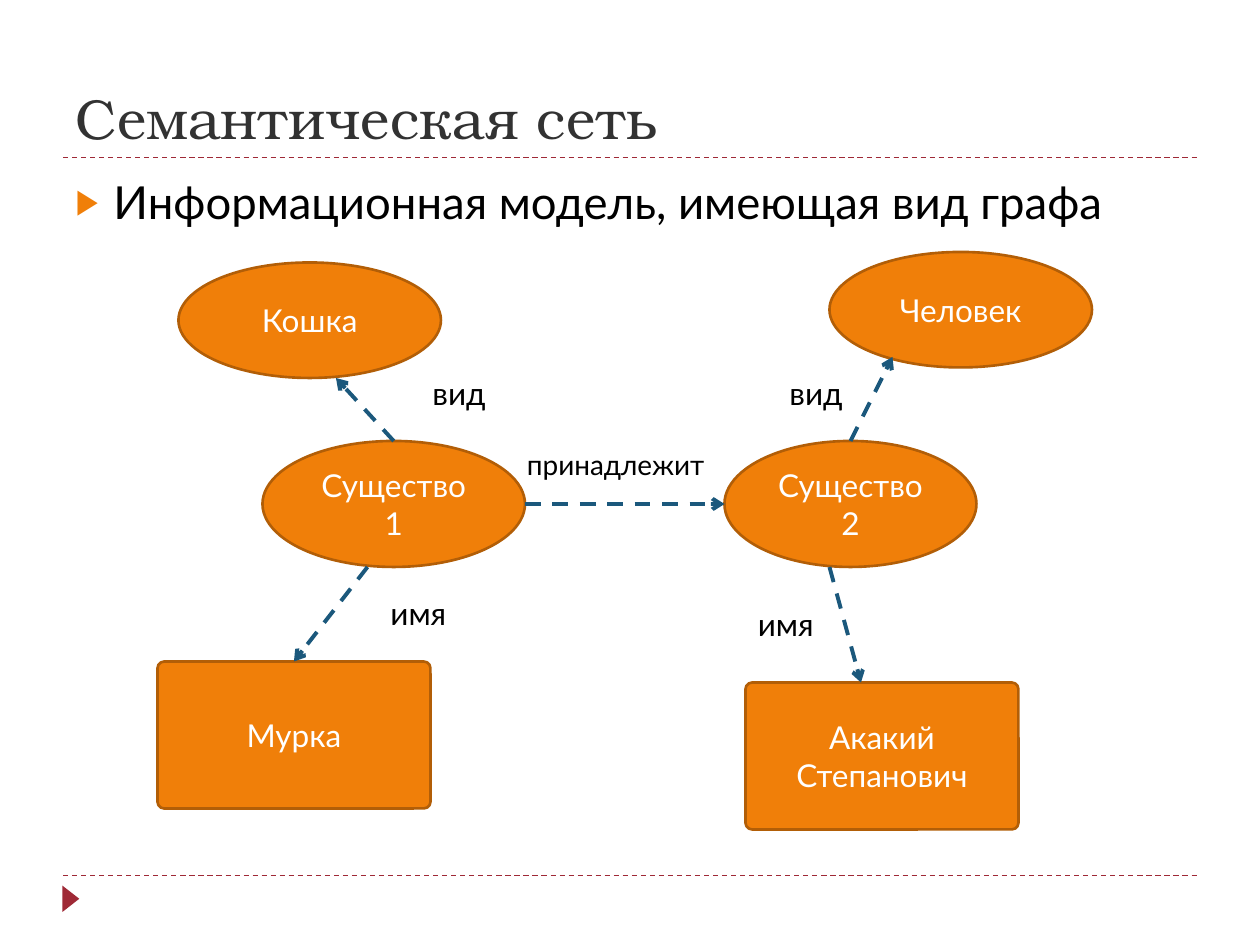
"""Build a slide that shows a semantic network as a graph of linked concepts."""
from dataclasses import dataclass

from lxml.etree import SubElement
from pptx import Presentation
from pptx.dml.color import RGBColor
from pptx.enum.dml import MSO_LINE
from pptx.enum.shapes import MSO_CONNECTOR, MSO_SHAPE
from pptx.enum.text import MSO_ANCHOR, MSO_AUTO_SIZE, PP_ALIGN
from pptx.oxml.ns import qn
from pptx.util import Emu, Pt

EMU_PER_PX = 7620


@dataclass(frozen=True)
class Theme:
    heading_font: str = "TeX Gyre Bonum"
    body_font: str = "Lato"
    heading: str = "323232"
    text: str = "000000"
    node_text: str = "FFFFFF"
    node_fill: str = "F07F09"
    node_line: str = "B25E07"
    link: str = "1B587C"
    rule: str = "9F2936"
    title_size: int = 32
    body_size: int = 26
    node_size: int = 18
    small_size: int = 16


THEME = Theme()
SLIDE_SIZE = (1200, 900)
TITLE = ("Семантическая сеть", (60, 20, 1080, 130))
BODY = ("Информационная модель, имеющая вид графа", (60, 160, 1080, 648))
RULE_TOPS = (834, 150)
RULE_SPAN = (60, 1140)
MARKER_BOX = (55, 848, 25, 16)

ELLIPSE, BOX = MSO_SHAPE.OVAL, MSO_SHAPE.ROUNDED_RECTANGLE
NODES = {
    "first": ("Существо 1", ELLIPSE, (250, 420, 250, 120)),
    "second": ("Существо 2", ELLIPSE, (690, 420, 240, 120)),
    "human": ("Человек", ELLIPSE, (790, 240, 250, 110)),
    "cat": ("Кошка", ELLIPSE, (170, 250, 250, 110)),
    "human_name": ("Акакий Степанович", BOX, (710, 650, 260, 140)),
    "cat_name": ("Мурка", BOX, (150, 630, 260, 140)),
}
LINKS = [
    ((375, 420), (320, 360), "first", None),
    ((350, 540), (280, 630), None, "cat_name"),
    ((790, 540), (820, 650), None, None),
    ((810, 420), (850, 340), "second", None),
    ((500, 480), (690, 480), None, None),
]
LABELS = [
    ("вид", (400, 350, 80, 48), THEME.node_size),
    ("вид", (740, 350, 80, 48), THEME.node_size),
    ("имя", (360, 560, 80, 48), THEME.node_size),
    ("принадлежит", (490, 420, 210, 44), THEME.small_size),
    ("имя", (710, 570, 80, 48), THEME.node_size),
]


def px(*values):
    return [Emu(value * EMU_PER_PX) for value in values]


def rgb(color):
    return RGBColor.from_string(color)


def write(shape, text, size, color, font=THEME.body_font, align=PP_ALIGN.LEFT, anchor=MSO_ANCHOR.TOP):
    frame = shape.text_frame
    frame.word_wrap = True
    frame.auto_size = MSO_AUTO_SIZE.NONE
    frame.vertical_anchor = anchor
    paragraph = frame.paragraphs[0]
    paragraph.alignment = align
    run = paragraph.add_run()
    run.text = text
    run.font.size = Pt(size)
    run.font.name = font
    run.font.color.rgb = rgb(color)
    return paragraph


def place(shape, box):
    shape.left, shape.top, shape.width, shape.height = px(*box)


def add_bullet(paragraph):
    paragraph.space_before = Pt(6)
    properties = paragraph._p.get_or_add_pPr()
    properties.set("marL", str(36 * EMU_PER_PX))
    properties.set("indent", str(-36 * EMU_PER_PX))
    color = SubElement(properties, qn("a:buClr"))
    SubElement(color, qn("a:srgbClr"), val=THEME.node_fill)
    SubElement(properties, qn("a:buSzPct"), val="76000")
    SubElement(properties, qn("a:buChar"), char="▶")


def add_line(slide, start, end, color, width):
    connector = slide.shapes.add_connector(MSO_CONNECTOR.STRAIGHT, *px(*start, *end))
    connector.line.color.rgb = rgb(color)
    connector.line.width = Pt(width)
    connector.line.dash_style = MSO_LINE.DASH
    SubElement(connector._element.spPr, qn("a:effectLst"))
    return connector


def add_filled(slide, kind, box, fill):
    shape = slide.shapes.add_shape(kind, *px(*box))
    shape.shadow.inherit = False
    shape.fill.solid()
    shape.fill.fore_color.rgb = rgb(fill)
    return shape


def add_node(slide, text, kind, box):
    shape = add_filled(slide, kind, box, THEME.node_fill)
    shape.line.color.rgb = rgb(THEME.node_line)
    shape.line.width = Pt(1.5)
    if kind == BOX:
        shape.adjustments[0] = 0.045
    write(shape, text, THEME.node_size, THEME.node_text, align=PP_ALIGN.CENTER, anchor=MSO_ANCHOR.MIDDLE)
    return shape


def add_link(slide, start, end, source, target):
    connector = add_line(slide, start, end, THEME.link, 2.25)
    SubElement(connector.line._get_or_add_ln(), qn("a:tailEnd"), type="arrow")
    if source:
        connector.begin_connect(source, 0)
    if target:
        connector.end_connect(target, 0)


def main():
    presentation = Presentation()
    presentation.slide_width, presentation.slide_height = px(*SLIDE_SIZE)
    slide = presentation.slides.add_slide(presentation.slide_layouts[1])

    for top in RULE_TOPS:
        add_line(slide, (RULE_SPAN[0], top), (RULE_SPAN[1], top), THEME.rule, 0.75)
    marker = add_filled(slide, MSO_SHAPE.ISOSCELES_TRIANGLE, MARKER_BOX, THEME.rule)
    marker.line.fill.background()
    marker.rotation = 90

    title, body = slide.shapes.title, slide.placeholders[1]
    place(title, TITLE[1])
    write(title, TITLE[0], THEME.title_size, THEME.heading, THEME.heading_font, anchor=MSO_ANCHOR.BOTTOM)
    place(body, BODY[1])
    add_bullet(write(body, BODY[0], THEME.body_size, THEME.text))

    nodes = {name: add_node(slide, *node) for name, node in NODES.items()}
    for start, end, source, target in LINKS:
        add_link(slide, start, end, nodes.get(source), nodes.get(target))
    for text, box, size in LABELS:
        write(slide.shapes.add_textbox(*px(*box)), text, size, THEME.text)

    presentation.save("out.pptx")


if __name__ == "__main__":
    main()
